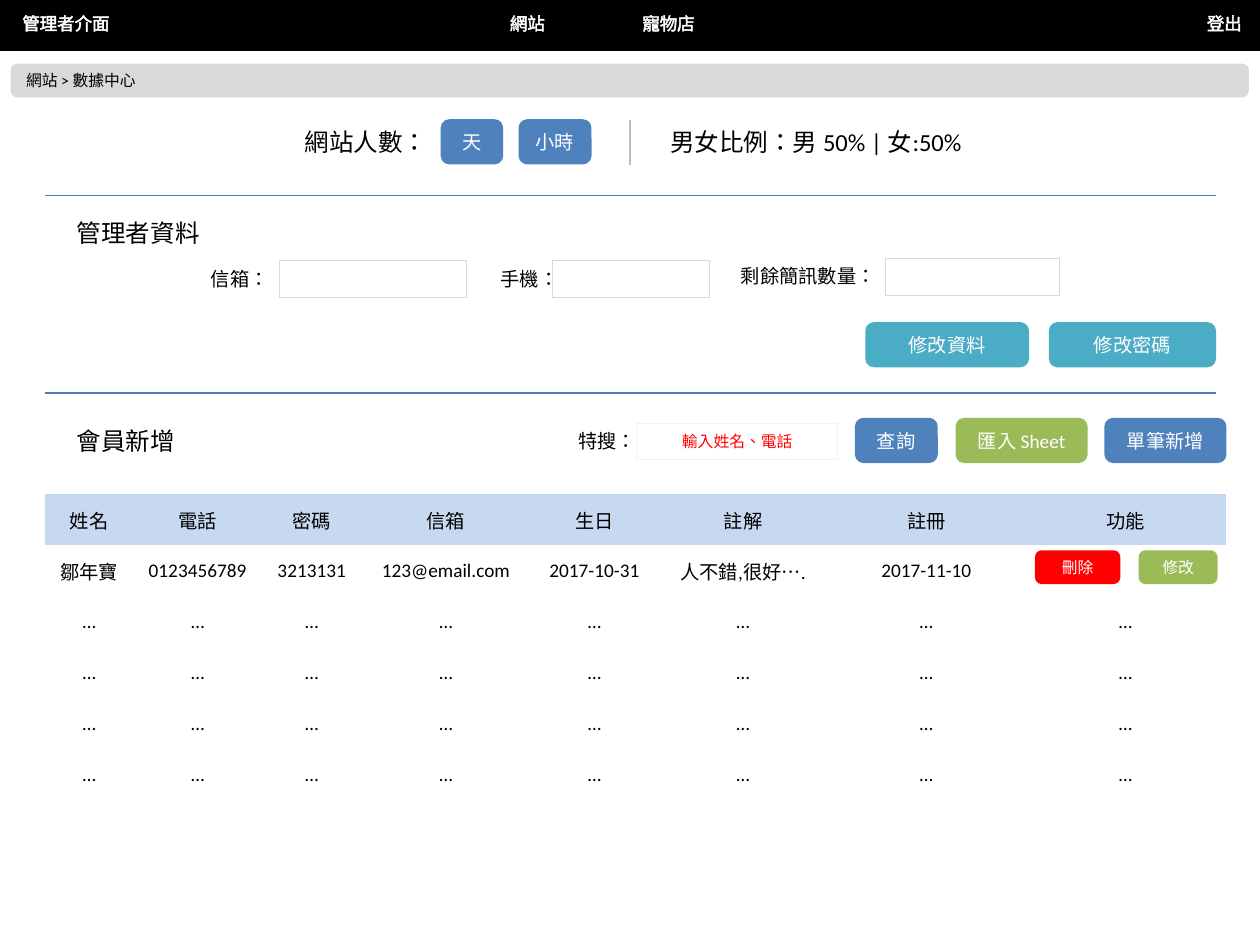
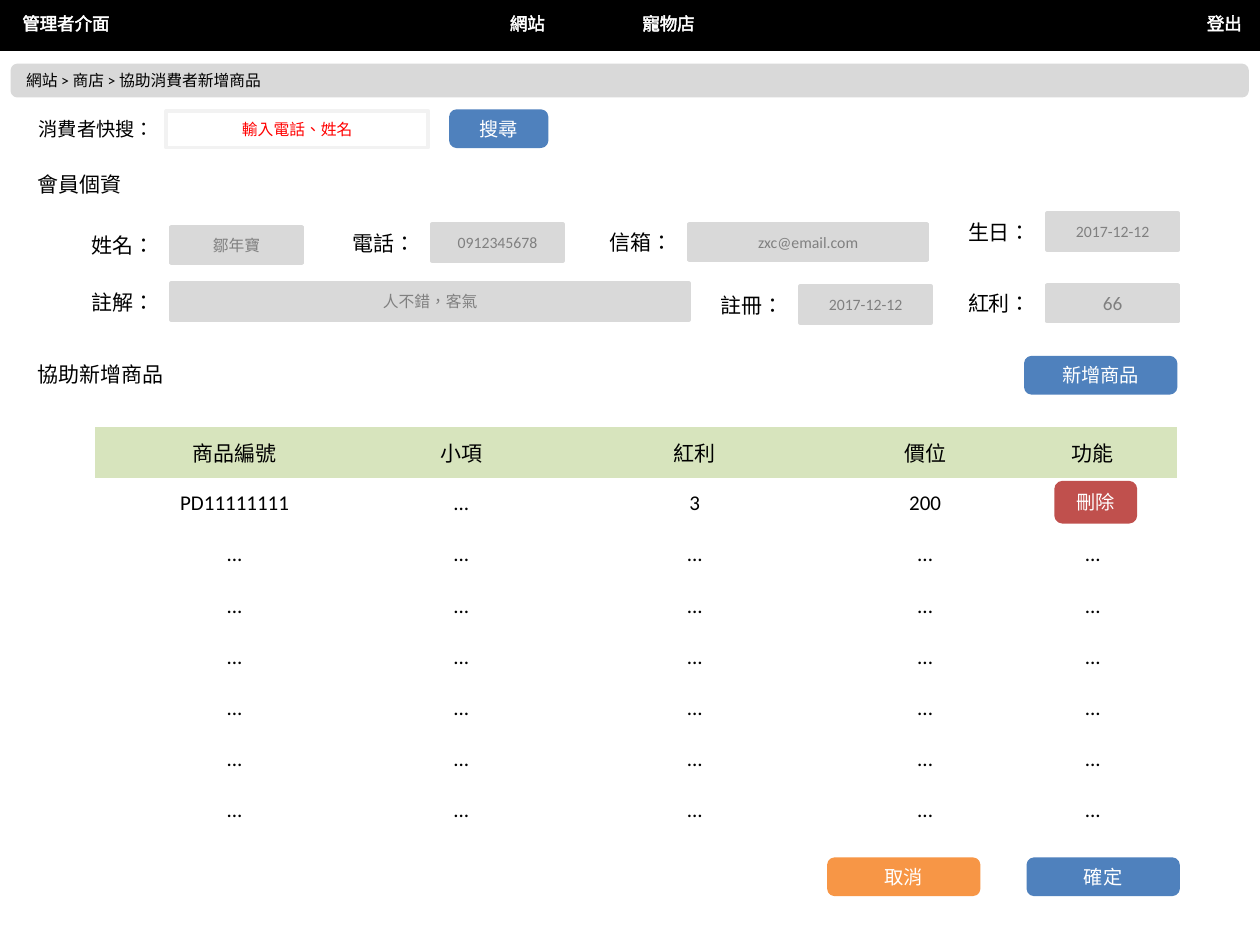
from dataclasses import dataclass

from lxml import etree
from pptx import Presentation
from pptx.dml.color import RGBColor
from pptx.enum.shapes import MSO_CONNECTOR, MSO_SHAPE
from pptx.enum.text import MSO_ANCHOR, MSO_AUTO_SIZE, PP_ALIGN
from pptx.oxml.ns import qn
from pptx.util import Cm, Pt

COLORS = {
    "black": "000000", "white": "FFFFFF", "band": "D9D9D9", "muted": "808080",
    "divider": "BFBFBF", "hint_edge": "F2F2F2", "rule": "4B7EBC",
    "blue": "4F81BD", "teal": "4BACC6", "green": "9BBB59", "orange": "F79646",
    "brick": "C0504D", "red": "FF0000",
    "blue_head": "C6D9F1", "green_head": "D7E4BD",
}
FONT = "Calibri"
TITLE_FONT = "Noto Sans CJK SC"
NO_GRID_STYLE = "{2D5ABB26-0587-4C30-8999-92F81FD0307C}"
ROW_HEIGHT = 1.03
LEFT, CENTER, RIGHT = PP_ALIGN.LEFT, PP_ALIGN.CENTER, PP_ALIGN.RIGHT


@dataclass
class Box:
    """A rectangle in centimetres."""
    x: float
    y: float
    w: float
    h: float

    def inner(self, dx, dy, w, h):
        """Return a box offset from this one's top left corner."""
        return Box(self.x + dx, self.y + dy, w, h)

    def lengths(self):
        """Return left, top, width and height as lengths."""
        return Cm(self.x), Cm(self.y), Cm(self.w), Cm(self.h)


def rgb(name):
    """Look up a named colour."""
    return RGBColor.from_string(COLORS[name])


def write(frame, text, size, color="black", align=LEFT, font=FONT):
    """Put one styled run in a text frame and return it."""
    paragraph = frame.paragraphs[0]
    paragraph.alignment = align
    run = paragraph.add_run()
    run.text = text
    run.font.size = Pt(size)
    run.font.name = font
    run.font.color.rgb = rgb(color)
    run._r.get_or_add_rPr().set("lang", "zh-TW")
    return run


def add_label(slide, box, text, size, color="black", align=LEFT, font=FONT, wrap=False):
    """Add a text box and return its run."""
    frame = slide.shapes.add_textbox(*box.lengths()).text_frame
    frame.word_wrap = wrap
    frame.auto_size = MSO_AUTO_SIZE.SHAPE_TO_FIT_TEXT
    return write(frame, text, size, color, align, font)


def add_panel(slide, box, fill, edge=None, weight=2, kind=MSO_SHAPE.RECTANGLE,
              text="", size=9, color="black", align=CENTER):
    """Add a flat filled shape, with text if there is any."""
    shape = slide.shapes.add_shape(kind, *box.lengths())
    shape.shadow.inherit = False
    shape.fill.solid()
    shape.fill.fore_color.rgb = rgb(fill)
    shape.line.color.rgb = rgb(edge or fill)
    shape.line.width = Pt(weight)
    if text:
        shape.text_frame.word_wrap = True
        shape.text_frame.vertical_anchor = MSO_ANCHOR.MIDDLE
        write(shape.text_frame, text, size, color, align)


def add_button(slide, box, text, fill, size=11):
    """Add a rounded button with white text."""
    add_panel(slide, box, fill, kind=MSO_SHAPE.ROUNDED_RECTANGLE,
              text=text, size=size, color="white")


def add_line(slide, x1, y1, x2, y2, color, weight):
    """Add a straight line without a shadow."""
    line = slide.shapes.add_connector(
        MSO_CONNECTOR.STRAIGHT, Cm(x1), Cm(y1), Cm(x2), Cm(y2))
    line.line.color.rgb = rgb(color)
    line.line.width = Pt(weight)
    etree.SubElement(line._element.spPr, qn("a:effectLst"))


def add_bottom_rule(slide, box):
    """Close a region with a thin blue rule."""
    bottom = box.y + box.h
    add_line(slide, box.x + box.w, bottom, box.x, bottom, "rule", 0.75)


def add_grid(slide, box, widths, rows, head_fill, size):
    """Add a plain table with a tinted header row."""
    table = slide.shapes.add_table(len(rows), len(widths), *box.lengths()).table
    table.horz_banding = False
    table.first_row = False
    table._tbl.tblPr.find(qn("a:tableStyleId")).text = NO_GRID_STYLE
    for column, width in zip(table.columns, widths):
        column.width = Cm(width)
    for r, values in enumerate(rows):
        table.rows[r].height = Cm(ROW_HEIGHT)
        for c, value in enumerate(values):
            cell = table.cell(r, c)
            cell.vertical_anchor = MSO_ANCHOR.MIDDLE
            if r == 0:
                cell.fill.solid()
                cell.fill.fore_color.rgb = rgb(head_fill)
            else:
                cell.fill.background()
            if value:
                write(cell.text_frame, value, size, align=CENTER)


def add_navigation(slide, box):
    """Add the black top bar and its menu entries."""
    add_panel(slide, box, "black")
    for x, width, text in [(0.2, 2.29, "管理者介面"), (24.08, 1.22, "登出"),
                           (10.03, 1.22, "網站"), (12.7, 1.57, "寵物店")]:
        run = add_label(slide, box.inner(x, 0.13, width, 0.69), text, 10, "white")
        outline = etree.Element(qn("a:ln"), w=str(Pt(0.75)))
        fill = etree.SubElement(outline, qn("a:solidFill"))
        etree.SubElement(fill, qn("a:srgbClr"), val=COLORS["white"])
        run._r.get_or_add_rPr().insert(0, outline)


def add_breadcrumb(slide, box, steps):
    """Add the grey bar that shows the path of the page."""
    add_panel(slide, box, "band", kind=MSO_SHAPE.ROUNDED_RECTANGLE,
              text=" > ".join(steps), align=LEFT)


def add_page(prs, steps):
    """Start a slide with the shared navigation and breadcrumb."""
    slide = prs.slides.add_slide(prs.slide_layouts[6])
    add_navigation(slide, Box(0, 0, 25.4, 0.99))
    add_breadcrumb(slide, Box(0.25, 1.32, 24.89, 0.61), steps)
    return slide


def add_visitor_stats(slide, box):
    """Add the visitor count switch and the gender ratio."""
    add_label(slide, box.inner(4.98, 0.03, 3, 0.86), "網站人數：", 14)
    add_button(slide, box.inner(8.01, 0.03, 1.19, 0.84), "天", "blue")
    add_button(slide, box.inner(9.58, 0.03, 1.4, 0.84), "小時", "blue")
    middle = box.x + 11.79
    add_line(slide, middle, box.y, middle, box.y + 0.91, "divider", 1.5)
    add_label(slide, box.inner(12.35, 0.03, 6.45, 0.86),
              "男女比例：男 50% | 女:50%", 14, wrap=True)
    add_bottom_rule(slide, box)


def add_manager_form(slide, box):
    """Add the manager's contact fields and the edit buttons."""
    add_label(slide, box.inner(0.39, 0.33, 3, 0.86), "管理者資料", 14, font=TITLE_FONT)
    for text, label_x, label_w, field_x, field_w, y in [
            ("信箱：", 1.99, 2.77, 4.73, 3.76, 1.32),
            ("手機：", 8.69, 1.52, 10.22, 3.18, 1.32),
            ("剩餘簡訊數量：", 13.7, 3.3, 16.95, 3.5, 1.27)]:
        add_label(slide, box.inner(label_x, y, label_w, 0.74), text, 11,
                  align=RIGHT, wrap=True)
        add_panel(slide, box.inner(field_x, y, field_w, 0.74), "white", "band", 0.5)
    add_button(slide, box.inner(16.57, 2.59, 3.23, 0.84), "修改資料", "teal")
    add_button(slide, box.inner(20.27, 2.59, 3.3, 0.84), "修改密碼", "teal")
    add_bottom_rule(slide, box)


def add_member_list(slide, box):
    """Add the member search row and the member table."""
    add_label(slide, box.inner(0.39, 0.54, 2.51, 0.86), "會員新增", 14, font=TITLE_FONT)
    add_label(slide, box.inner(10.22, 0.61, 1.55, 0.74), "特搜：", 11,
              align=RIGHT, wrap=True)
    add_panel(slide, box.inner(11.92, 0.61, 4.06, 0.74), "white", "hint_edge", 0.5,
              text="輸入姓名、電話", color="red")
    for x, width, text, fill in [(16.36, 1.6, "查詢", "blue"),
                                 (18.39, 2.59, "匯入 Sheet", "green"),
                                 (21.39, 2.39, "單筆新增", "blue")]:
        add_button(slide, box.inner(x, 0.54, width, 0.84), text, fill)
    widths = [1.78, 2.59, 2.01, 3.4, 2.59, 3.4, 3.99, 4.04]
    rows = [["姓名", "電話", "密碼", "信箱", "生日", "註解", "註冊", "功能"],
            ["鄒年寶", "0123456789", "3213131", "123@email.com", "2017-10-31",
             "人不錯,很好….", "2017-11-10", ""]] + [["…"] * len(widths)] * 4
    add_grid(slide, box.inner(0, 2.04, sum(widths), ROW_HEIGHT * len(rows)),
             widths, rows, "blue_head", 11)
    add_button(slide, box.inner(22.08, 3.21, 1.52, 0.61), "修改", "green", 9)
    add_button(slide, box.inner(19.99, 3.21, 1.65, 0.61), "刪除", "red", 9)


def add_customer_search(slide, box):
    """Add the quick customer search."""
    add_label(slide, box.inner(0, 0, 2.87, 0.74), "消費者快搜：", 11, align=CENTER)
    add_panel(slide, box.inner(2.84, 0, 5.28, 0.74), "white", "hint_edge",
              text="輸入電話、姓名", color="red")
    add_button(slide, box.inner(8.58, 0, 1.93, 0.71), "搜尋", "blue")


def add_member_profile(slide, box):
    """Add the read-only details of one member."""
    add_label(slide, box.inner(0, 0, 2.24, 0.76), "會員個資", 12)
    for text, value, x, y, width, size in [
            ("姓名：", "鄒年寶", 2.94, 1.24, 2.64, 9),
            ("電話：", "0912345678", 8.2, 1.19, 2.64, 9),
            ("信箱：", "zxc@email.com", 13.38, 1.18, 4.8, 9),
            ("生日：", "2017-12-12", 20.6, 0.97, 2.64, 9),
            ("註解：", "人不錯，客氣", 2.94, 2.38, 10.44, 9),
            ("註冊：", "2017-12-12", 15.62, 2.44, 2.64, 9),
            ("紅利：", "66", 20.6, 2.41, 2.64, 11)]:
        add_label(slide, box.inner(x - 1.86, y, 1.8, 0.76), text, 12, align=CENTER)
        add_panel(slide, box.inner(x, y, width, 0.74), "band",
                  text=value, size=size, color="muted")


def add_product_list(slide, box):
    """Add the product table with its action buttons."""
    add_label(slide, box.inner(0, 0, 3.07, 0.76), "協助新增商品", 12)
    widths = [5.64, 3.5, 5.91, 3.38, 3.38]
    rows = [["商品編號", "小項", "紅利", "價位", "功能"],
            ["PD11111111", "...", "3", "200", ""]] + [["..."] * len(widths)] * 6
    add_grid(slide, box.inner(1.4, 1.45, sum(widths), ROW_HEIGHT * len(rows)),
             widths, rows, "green_head", 12)
    for x, y, text, fill in [(20.17, 0.05, "新增商品", "blue"),
                             (16.2, 10.16, "取消", "orange"),
                             (20.22, 10.16, "確定", "blue")]:
        add_button(slide, box.inner(x, y, 3.02, 0.71), text, fill)
    add_button(slide, box.inner(20.78, 2.57, 1.6, 0.79), "刪除", "brick")


def main():
    """Build both pages and save the file."""
    prs = Presentation()
    prs.slide_width, prs.slide_height = Cm(25.4), Cm(19.05)

    data_center = add_page(prs, ["網站", "數據中心"])
    add_visitor_stats(data_center, Box(0.91, 2.41, 23.6, 1.53))
    add_manager_form(data_center, Box(0.91, 3.94, 23.6, 3.98))
    add_member_list(data_center, Box(0.91, 7.92, 23.8, 8.21))

    shop = add_page(prs, ["網站", "商店", "協助消費者新增商品"])
    add_customer_search(shop, Box(0.51, 2.24, 10.51, 0.74))
    add_member_profile(shop, Box(0.51, 3.33, 23.24, 3.18))
    add_product_list(shop, Box(0.51, 7.16, 23.24, 10.87))

    prs.save("out.pptx")


main()
